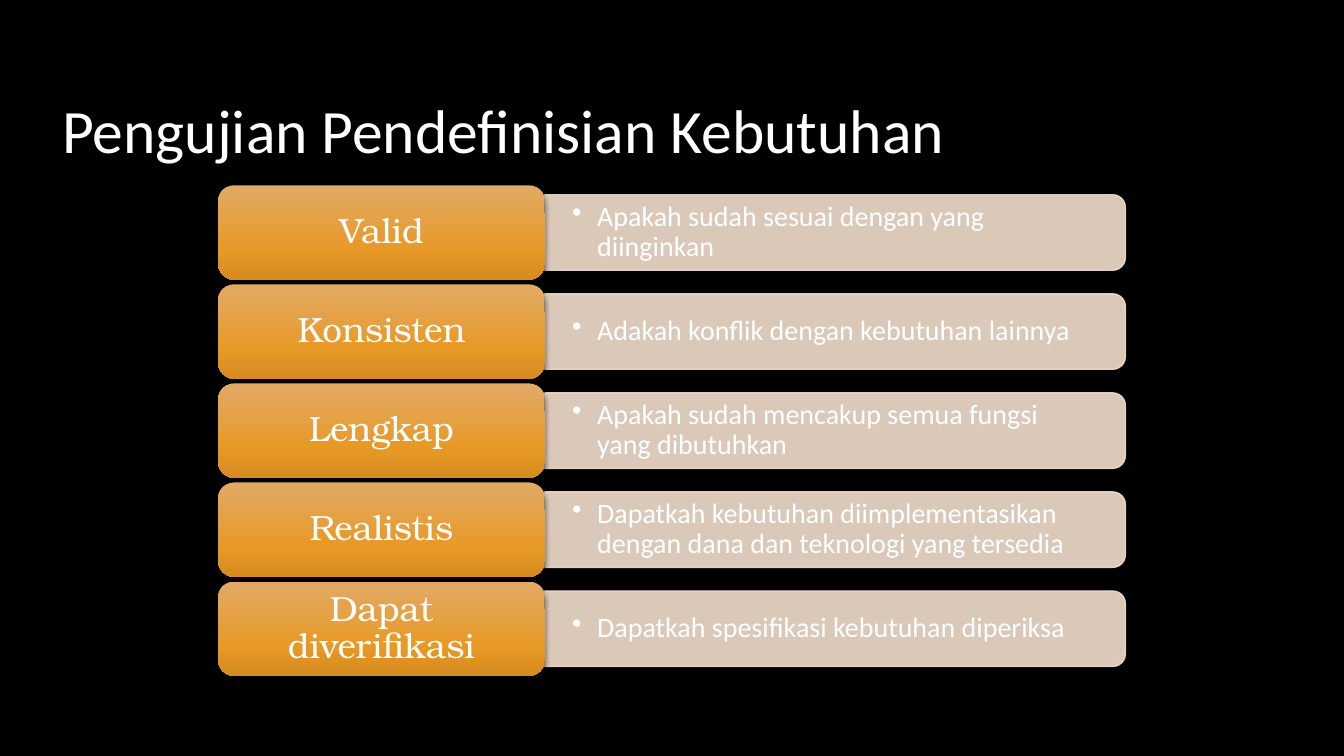
from dataclasses import dataclass

from lxml import etree
from pptx import Presentation
from pptx.dml.color import RGBColor
from pptx.enum.shapes import MSO_SHAPE
from pptx.enum.text import MSO_ANCHOR, MSO_AUTO_SIZE, PP_ALIGN
from pptx.oxml import parse_xml
from pptx.util import Cm, Pt

ROUND = MSO_SHAPE.ROUNDED_RECTANGLE
TAB = MSO_SHAPE.ROUND_2_SAME_RECTANGLE
MIDDLE = MSO_ANCHOR.MIDDLE
FIXED = MSO_AUTO_SIZE.NONE
LEFT, CENTER = PP_ALIGN.LEFT, PP_ALIGN.CENTER
NS = "http://schemas.openxmlformats.org/drawingml/2006/main"


@dataclass(frozen=True)
class Theme:
    """Hold the colours, fonts and type sizes of the slide."""

    back: str = "000000"
    ink: str = "FFFFFF"
    bar: str = "F2DECE"
    stops: tuple = ((0, "E2AA66"), (69, "E79926"), (100, "D68B1F"))
    sans: str = "Calibri"
    serif: str = "TeX Gyre Bonum"
    title: int = 44
    label: int = 25
    note: int = 20


THEME = Theme()
ROWS = (
    ("Valid", "Apakah sudah sesuai dengan yang diinginkan"),
    ("Konsisten", "Adakah konflik dengan kebutuhan lainnya"),
    ("Lengkap", "Apakah sudah mencakup semua fungsi yang dibutuhkan"),
    ("Realistis", "Dapatkah kebutuhan diimplementasikan dengan dana dan teknologi yang tersedia"),
    ("Dapat diverifikasi", "Dapatkah spesifikasi kebutuhan diperiksa"),
)


def write(shape, text, size, font=THEME.sans, align=LEFT, pad=(0.25, 0.13), bullet=False):
    """Fill a shape with one formatted paragraph."""
    frame = shape.text_frame
    frame.word_wrap = True
    frame.auto_size = FIXED
    frame.vertical_anchor = MIDDLE
    frame.margin_left = frame.margin_right = Cm(pad[0])
    frame.margin_top = frame.margin_bottom = Cm(pad[1])
    para = frame.paragraphs[0]
    para.alignment = align
    para.line_spacing = 0.9
    if bullet:
        props = para._p.get_or_add_pPr()
        props.set("marL", str(Cm(0.63)))
        props.set("indent", str(-Cm(0.63)))
        etree.SubElement(props, f"{{{NS}}}buChar", char="•")
    run = para.add_run()
    run.text = text
    run.font.size = Pt(size)
    run.font.name = font
    run.font.color.rgb = RGBColor.from_string(THEME.ink)


def head(slide, text, left, top, width, height):
    """Place the slide title in its box."""
    title = slide.shapes.title
    title.left, title.top = Cm(left), Cm(top)
    title.width, title.height = Cm(width), Cm(height)
    write(title, text, THEME.title)


def bar(slide, text, left, top, width, height):
    """Draw a pale bar rounded on the right, with its bulleted note."""
    shift = (width - height) / 2
    back = slide.shapes.add_shape(
        TAB, Cm(left + shift), Cm(top - shift), Cm(height), Cm(width))
    back.rotation = 90
    back.shadow.inherit = False
    back.line.width = Pt(1)
    back.line.fill.solid()
    back.fill.solid()
    for fill in (back.fill, back.line.fill):
        fill.fore_color.rgb = RGBColor.from_string(THEME.bar)
    for tint in back._element.spPr.iter(f"{{{NS}}}srgbClr"):
        etree.SubElement(tint, f"{{{NS}}}alpha", val="90000")
    note = slide.shapes.add_textbox(
        Cm(left), Cm(top + 0.1), Cm(width - 0.1), Cm(height - 0.2))
    write(note, text, THEME.note, pad=(0.69, 0.35), bullet=True)


def label(slide, text, left, top, width, height):
    """Draw a shaded orange label with a soft shadow."""
    box = slide.shapes.add_shape(ROUND, Cm(left), Cm(top), Cm(width), Cm(height))
    stops = "".join(
        f'<a:gs pos="{pos * 1000}"><a:srgbClr val="{tint}"/></a:gs>'
        for pos, tint in THEME.stops)
    props = box._element.spPr
    props.append(parse_xml(
        f'<a:gradFill xmlns:a="{NS}" rotWithShape="1"><a:gsLst>{stops}</a:gsLst>'
        '<a:lin ang="5400000" scaled="0"/></a:gradFill>'))
    box.line.fill.background()
    props.append(parse_xml(
        f'<a:effectLst xmlns:a="{NS}"><a:outerShdw blurRad="{Pt(4)}" '
        f'dist="{Pt(3)}" dir="5400000" rotWithShape="0">'
        '<a:srgbClr val="000000"><a:alpha val="54000"/></a:srgbClr>'
        '</a:outerShdw></a:effectLst>'))
    write(box, text, THEME.label, font=THEME.serif, align=CENTER, pad=(0.37, 0.25))


def chart(slide, rows, left, top, width, height):
    """Stack the rows of labels and bars evenly in the box."""
    gap = 0.12
    tall = (height - gap * (len(rows) - 1)) / len(rows)
    wide = width * 0.36
    slim = tall * 0.8
    for i, (name, note) in enumerate(rows):
        y = top + i * (tall + gap)
        bar(slide, note, left + wide, y + (tall - slim) / 2, width - wide, slim)
        label(slide, name, left, y, wide, tall)


def main():
    """Build and save the deck."""
    deck = Presentation()
    deck.slide_width, deck.slide_height = Cm(33.87), Cm(19.05)
    slide = deck.slides.add_slide(deck.slide_layouts[5])
    back = slide.background.fill
    back.solid()
    back.fore_color.rgb = RGBColor.from_string(THEME.back)
    head(slide, "Pengujian Pendefinisian Kebutuhan", 1.32, 2.31, 27.03, 2.13)
    chart(slide, ROWS, 5.5, 4.67, 22.86, 12.36)
    deck.save("out.pptx")


if __name__ == "__main__":
    main()
